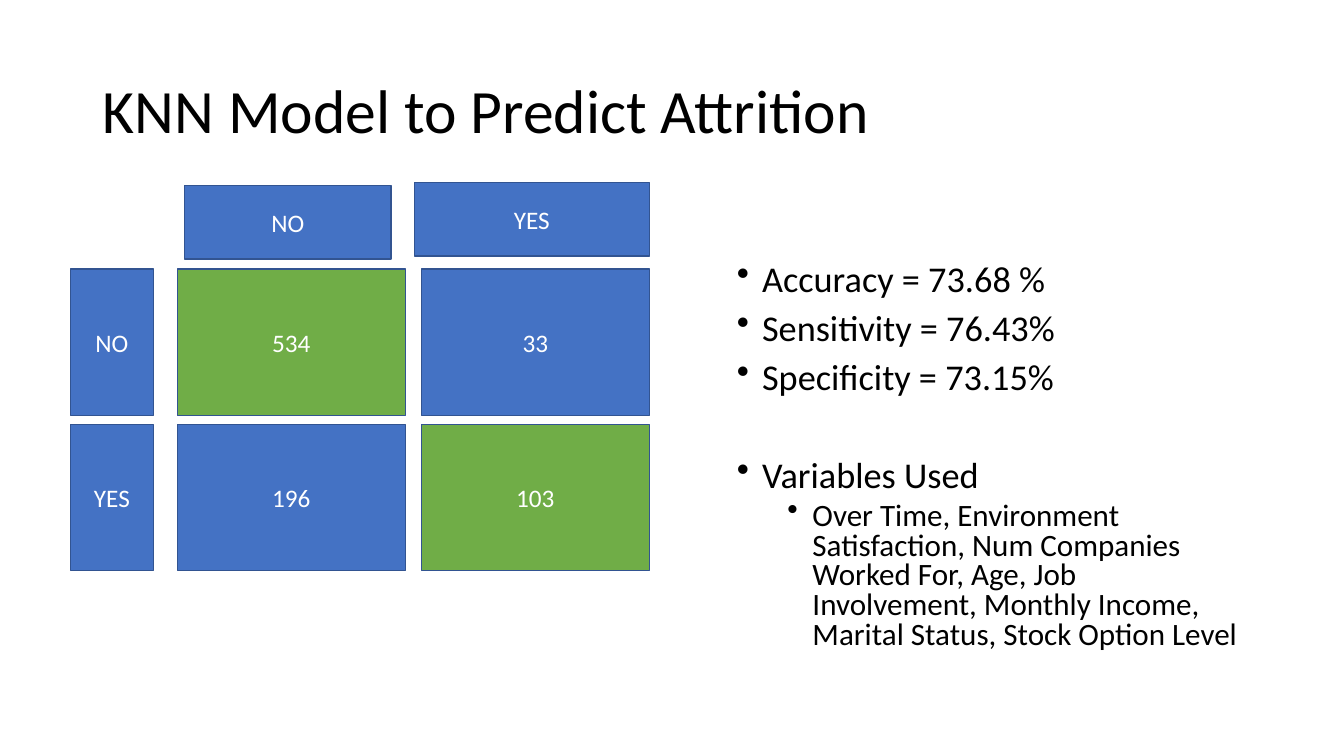
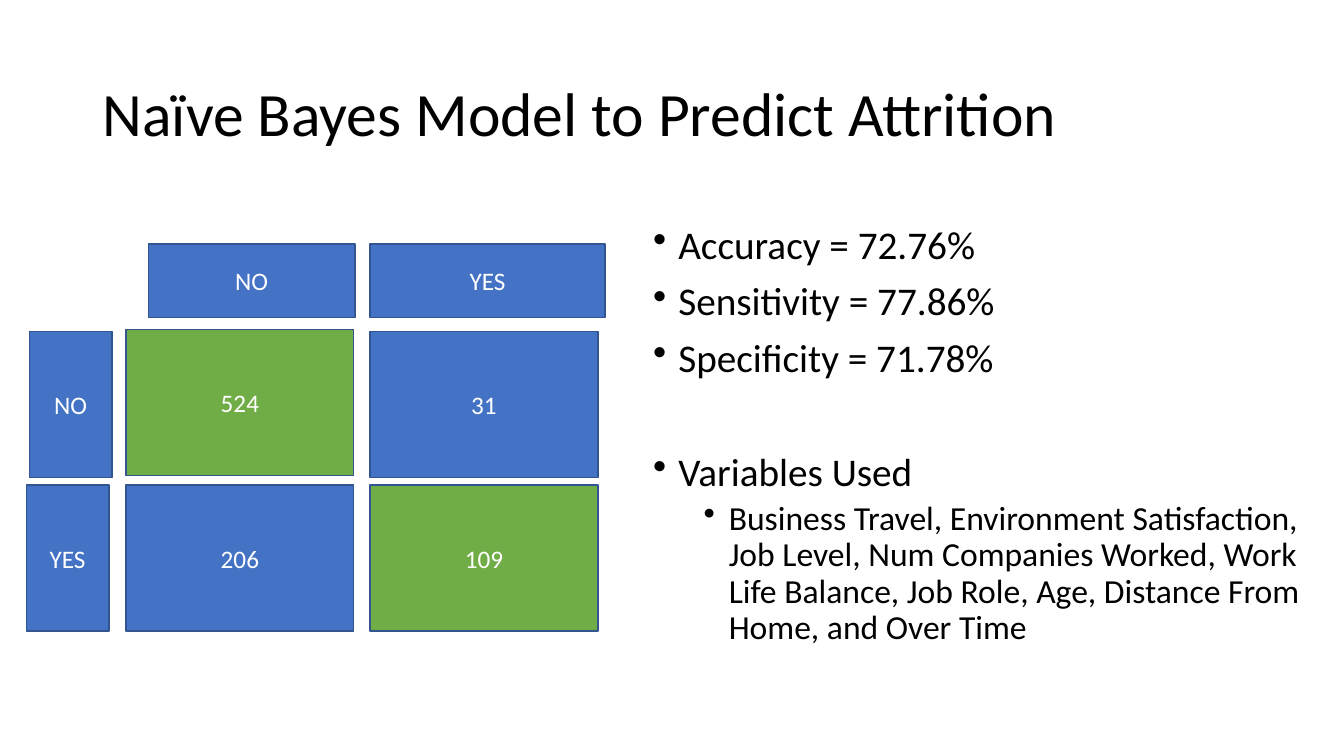
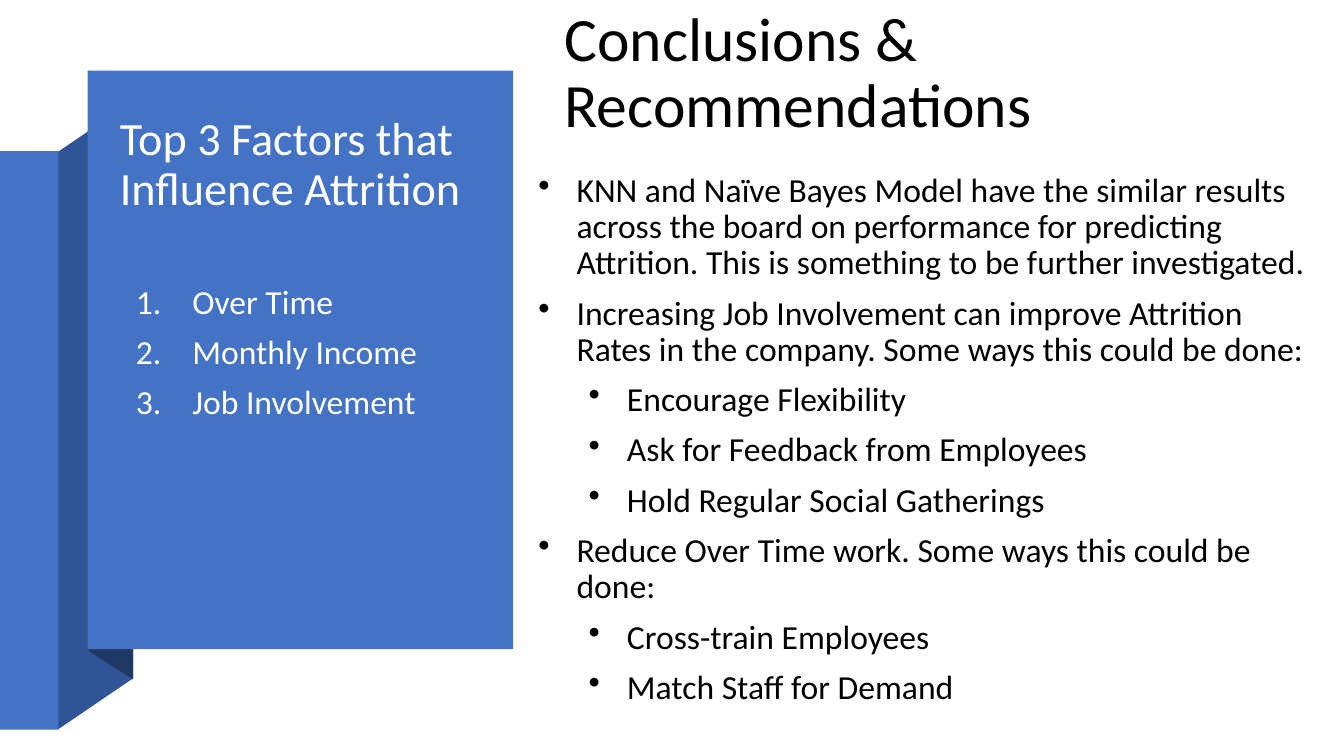
"""Build three slides on models that predict attrition."""
from pptx import Presentation as Deck
from pptx.dml.color import RGBColor as Rgb
from pptx.enum.shapes import MSO_SHAPE as Kind
from pptx.enum.text import MSO_ANCHOR as Anchor, PP_ALIGN as Align
from pptx.oxml.ns import qn
from pptx.util import Pt
from lxml.etree import SubElement as Sub

PX = 9144
FONT = "Calibri"
HUES = {
    "black": "000000", "white": "FFFFFF", "pale": "FEFFFF",
    "blue": "4472C4", "green": "70AD47", "edge": "325491",
    "fold": "2F5597", "dark": "203864",
}


def hue(name):
    return Rgb.from_string(HUES[name])


def write(frame, lines, size=18, color="black", align=Align.LEFT,
          anchor=Anchor.TOP, lead=1.0, gap=0, mark=None, hang=0):
    frame.word_wrap = True
    frame.vertical_anchor = anchor
    for spot, line in enumerate(lines):
        words, own = line if isinstance(line, tuple) else (line, {})
        para = frame.paragraphs[0] if spot == 0 else frame.add_paragraph()
        para.alignment = align
        para.line_spacing = lead
        para.space_before = Pt(own.get("gap", gap))
        para.level = own.get("level", 0)
        run = para.add_run()
        run.text = words
        run.font.name = FONT
        run.font.size = Pt(own.get("size", size))
        run.font.color.rgb = hue(color)
        if mark:
            props = para._p.get_or_add_pPr()
            props.set("marL", str((hang + 50 * para.level) * PX))
            props.set("indent", str(-hang * PX))
            if mark == "1.":
                Sub(props, qn("a:buAutoNum"), type="arabicPeriod")
            else:
                Sub(props, qn("a:buChar"), char=mark)


class Board:
    def __init__(self):
        self.deck = Deck()
        self.deck.slide_width = 1333 * PX
        self.deck.slide_height = 750 * PX
        self.slide = None

    def start(self):
        self.slide = self.deck.slides.add_slide(self.deck.slide_layouts[6])

    def text(self, at, lines, **form):
        box = self.slide.shapes.add_textbox(*(n * PX for n in at))
        write(box.text_frame, lines, **form)

    def title(self, at, words, size=44, color="black"):
        self.text(at, [words], size=size, color=color, lead=0.9,
                  anchor=Anchor.MIDDLE)

    def list(self, at, lines, **form):
        style = dict(size=24, lead=0.9, gap=10, mark="•", hang=25)
        self.text(at, lines, **{**style, **form})

    def paint(self, shape, fill, edge=None):
        shape.shadow.inherit = False
        shape.fill.solid()
        shape.fill.fore_color.rgb = hue(fill)
        if edge:
            shape.line.color.rgb = hue(edge)
            shape.line.width = Pt(1)
        else:
            shape.line.fill.background()

    def rect(self, at, fill="blue", edge=None, label=None):
        shape = self.slide.shapes.add_shape(
            Kind.RECTANGLE, *(n * PX for n in at))
        self.paint(shape, fill, edge)
        if label:
            write(shape.text_frame, [label], color="white",
                  align=Align.CENTER, anchor=Anchor.MIDDLE)

    def shard(self, points, fill):
        pen = self.slide.shapes.build_freeform(*points[0], scale=PX)
        pen.add_line_segments(points[1:], close=True)
        self.paint(pen.convert_to_shape(), fill)

    def matrix(self, counts, cells, sides, heads):
        for spot, (count, place) in enumerate(zip(counts, cells)):
            fill = "green" if spot in (0, 3) else "blue"
            self.rect((*place, 226, 145), fill, "edge", count)
        for label, side, head, wide in zip(
                ("NO", "YES"), sides, heads, (205, 233)):
            self.rect((*side, 82, 145), "blue", "edge", label)
            self.rect((*head, wide, 73), "blue", "edge", label)


def main():
    board = Board()

    board.start()
    board.title((92, 40, 1150, 145), "KNN Model to Predict Attrition")
    board.list((721, 258, 521, 418), [
        "Accuracy = 73.68 %", "Sensitivity = 76.43%", "Specificity = 73.15%",
        ("Variables Used", {"gap": 45}),
        ("Over Time, Environment Satisfaction, Num Companies Worked For, "
         "Age, Job Involvement, Monthly Income, Marital Status, "
         "Stock Option Level", {"level": 1, "size": 22.2, "gap": 5}),
    ], size=25.9, lead=0.8)
    board.matrix(("534", "33", "196", "103"),
                 [(x, y) for y in (267, 421) for x in (176, 418)],
                 [(70, 267), (70, 421)], [(183, 184), (411, 181)])

    board.start()
    board.title((92, 43, 1150, 145), "Naïve Bayes Model to Predict Attrition")
    board.matrix(("524", "31", "206", "109"),
                 [(125, 327), (367, 329), (125, 481), (367, 481)],
                 [(29, 329), (26, 481)], [(147, 242), (367, 242)])
    board.list((638, 219, 667, 431), [
        "Accuracy = 72.76%", "Sensitivity = 77.86%", "Specificity = 71.78%",
        ("Variables Used", {"gap": 51}),
        ("Business Travel, Environment Satisfaction, Job Level, "
         "Num Companies Worked, Work Life Balance, Job Role, Age, "
         "Distance From Home, and Over Time",
         {"level": 1, "size": 24, "gap": 5}),
    ], size=28)

    board.start()
    board.shard([(57, 724), (132, 673), (132, 100), (57, 151)], "fold")
    board.rect((0, 150, 58, 574))
    board.shard([(88, 646), (132, 674), (132, 99), (88, 70)], "dark")
    board.rect((87, 70, 422, 574))
    board.title((109, 84, 378, 161), "Top 3 Factors that Influence Attrition",
                size=33, color="white")
    board.list((125, 278, 350, 327),
               ["Over Time", "Monthly Income", "Job Involvement"],
               color="pale", mark="1.", hang=56)
    board.title((550, 0, 692, 148), "Conclusions & Recommendations")
    sub = {"level": 1}
    board.list((524, 167, 791, 583), [
        "KNN and Naïve Bayes Model have the similar results across the board "
        "on performance for predicting Attrition. This is something to be "
        "further investigated.",
        "Increasing Job Involvement can improve Attrition Rates in the "
        "company. Some ways this could be done:",
        ("Encourage Flexibility", sub),
        ("Ask for Feedback from Employees", sub),
        ("Hold Regular Social Gatherings", sub),
        "Reduce Over Time work. Some ways this could be done:",
        ("Cross-train Employees", sub),
        ("Match Staff for Demand", sub),
    ], hang=38)

    board.deck.save("out.pptx")


if __name__ == "__main__":
    main()
